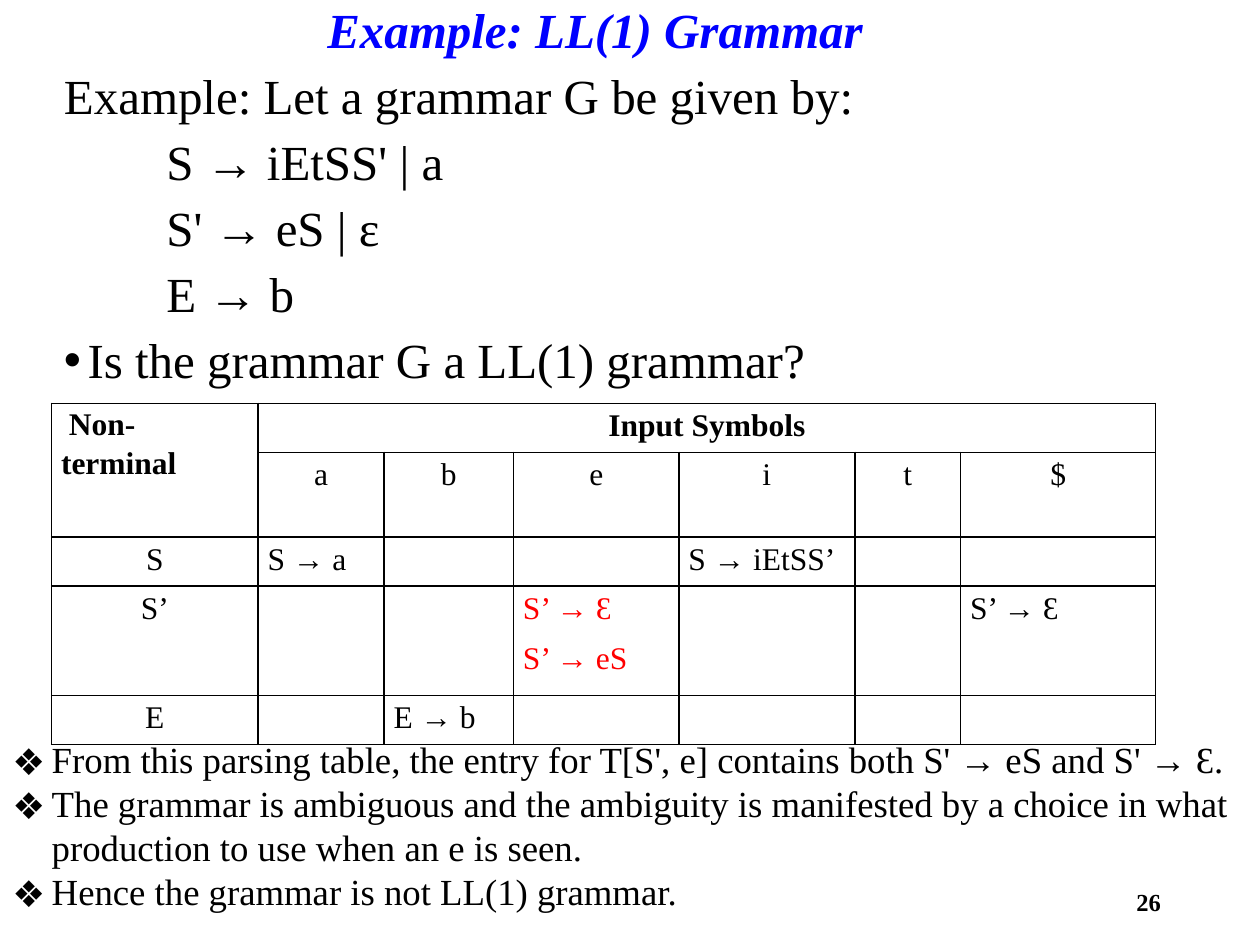
from pptx import Presentation
from pptx.util import Pt
from pptx.dml.color import RGBColor
from pptx.enum.text import PP_ALIGN, MSO_ANCHOR
from pptx.oxml import parse_xml
from pptx.oxml.ns import nsdecls


def style(par, size, color="000000", bold=False, align=PP_ALIGN.LEFT):
    par.alignment = align
    font = par.font
    font.name, font.size, font.bold = "Times New Roman", Pt(size), bold
    font.color.rgb = RGBColor.from_string(color)


def indent(par, left, hang=0, mark=None, face="Arial"):
    props = par._p.get_or_add_pPr()
    props.set("marL", str(Pt(left)))
    props.set("indent", str(Pt(-hang)))
    if mark:
        props.append(parse_xml(f'<a:buFont {nsdecls("a")} typeface="{face}"/>'))
        props.append(parse_xml(f'<a:buChar {nsdecls("a")} char="{mark}"/>'))


deck = Presentation()
deck.slide_width, deck.slide_height = Pt(720), Pt(540)
slide = deck.slides.add_slide(deck.slide_layouts[5])
shapes = slide.shapes

title = shapes.title
title.left, title.top, title.width, title.height = Pt(116), Pt(0), Pt(448), Pt(37.5)
title.text_frame.text = "Example: LL(1) Grammar"
title.text_frame.vertical_anchor = MSO_ANCHOR.MIDDLE
head = title.text_frame.paragraphs[0]
head.line_spacing = 0.9
style(head, 28, "0000FF", True, PP_ALIGN.CENTER)
head.font.italic = True

body = shapes.add_textbox(Pt(29.5), Pt(37.5), Pt(620.5), Pt(193)).text_frame
body.word_wrap = True
lines = [
    ("Example: Let a grammar G be given by:", 0, 0, None),
    ("S → iEtSS' | a", 58.5, 0, None),
    ("S' → eS | ɛ", 58.5, 0, None),
    ("E → b", 58.5, 0, None),
    ("Is the grammar G a LL(1) grammar?", 13.5, 13.5, "•"),
]
for n, (text, left, hang, mark) in enumerate(lines):
    par = body.add_paragraph() if n else body.paragraphs[0]
    par.text = text
    par.line_spacing = 0.9
    par.space_before = Pt(7.5 if n else 0)
    indent(par, left, hang, mark)
    style(par, 28)

page = shapes.add_textbox(Pt(508.5), Pt(500.5), Pt(162), Pt(29)).text_frame
page.vertical_anchor = MSO_ANCHOR.MIDDLE
page.word_wrap = True
par = page.paragraphs[0]
par.text = "26"
style(par, 14, bold=True, align=PP_ALIGN.RIGHT)

cols = [118, 72, 74, 94.5, 100.5, 60.5, 111.5]
rows = [28, 46, 28, 62.5, 28]
cells = [
    ["\u00a0Non-terminal", "Input Symbols", "", "", "", "", ""],
    ["", "a", "b", "e", "i", "t", "$"],
    ["S", "S → a", "", "", "S → iEtSS’", "", ""],
    ["S’", "", "", "S’ → Ɛ\nS’ → eS", "", "", "S’ → Ɛ"],
    ["E", "", "E → b", "", "", "", ""],
]
table = shapes.add_table(5, 7, Pt(29.5), Pt(230.5), Pt(sum(cols)), Pt(sum(rows))).table
for col, width in zip(table.columns, cols):
    col.width = Pt(width)
for row, height in zip(table.rows, rows):
    row.height = Pt(height)
for r, texts in enumerate(cells):
    for c, text in enumerate(texts):
        cell = table.cell(r, c)
        cell.margin_left = cell.margin_right = Pt(5.4)
        cell.margin_top = cell.margin_bottom = 0
        props = cell._tc.get_or_add_tcPr()
        for side in ("L", "R", "T", "B"):
            props.append(parse_xml(
                f'<a:ln{side} {nsdecls("a")} w="{Pt(1)}"><a:solidFill>'
                f'<a:srgbClr val="000000"/></a:solidFill></a:ln{side}>'))
        cell.fill.background()
        cell.text = text
        mid = (r == 0 and c == 1) or r == 1 or (r > 1 and c == 0)
        corner = r == c == 0
        for n, par in enumerate(cell.text_frame.paragraphs):
            par.line_spacing = 1.12 if corner else 1.15
            par.space_before = Pt(3 if n else 0)
            par.space_after = Pt(0 if corner else 3)
            style(par, 18, "FF0000" if (r, c) == (3, 3) else "000000", r == 0,
                  PP_ALIGN.CENTER if mid else PP_ALIGN.LEFT)
table.cell(0, 0).merge(table.cell(1, 0))
table.cell(0, 1).merge(table.cell(0, 6))

points = [
    "From this parsing table, the entry for T[S', e] contains both S' → eS and S' → Ɛ.",
    "The grammar is ambiguous and the ambiguity is manifested by a choice in what "
    "production to use when an e is seen.",
    "Hence the grammar is not LL(1) grammar.",
]
foot = shapes.add_textbox(Pt(0), Pt(417.5), Pt(720), Pt(109)).text_frame
foot.word_wrap = True
for n, text in enumerate(points):
    par = foot.add_paragraph() if n else foot.paragraphs[0]
    par.text = text
    indent(par, 22.5, 22.5, "❖", "Noto Sans Symbols")
    style(par, 21)

deck.save("out.pptx")
